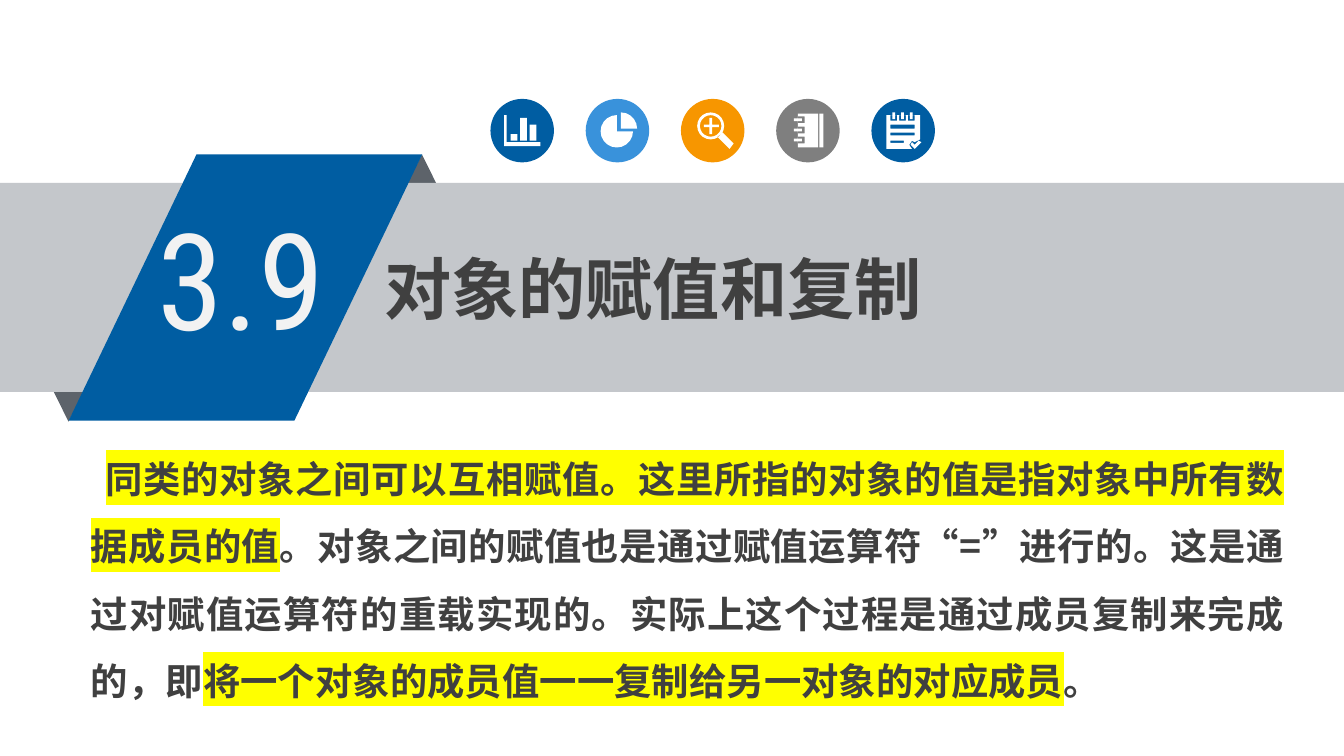
from math import cos, radians, sin

from lxml import etree
from pptx import Presentation
from pptx.dml.color import RGBColor as RGB
from pptx.enum.shapes import MSO_SHAPE as Kind
from pptx.enum.text import MSO_AUTO_SIZE as Fit, PP_ALIGN as Align
from pptx.oxml.ns import qn
from pptx.util import Cm, Pt

BLUE = RGB(0x00, 0x5D, 0xA2)
SKY = RGB(0x39, 0x92, 0xDB)
ORANGE = RGB(0xF7, 0x96, 0x00)
GRAY = RGB(0x7F, 0x7F, 0x7F)
FOLD = RGB(0x5D, 0x63, 0x6A)
BAND = RGB(0xC4, 0xC7, 0xCB)
INK = RGB(0x40, 0x40, 0x40)
PALE = RGB(0xF2, 0xF2, 0xF2)
WHITE = RGB(0xFF, 0xFF, 0xFF)
YELLOW = RGB(0xFF, 0xFF, 0x00)

DISC = 1.2  # icon diameter in cm
STEP = 1.8  # distance from icon to icon in cm
GRID = 47   # glyph units across one icon


def arc(x, y, r, start, end):
    """Points on a circle, clockwise, angles in degrees."""
    turns = [radians(t) for t in range(start, end + 1, 18)]
    return [(x + r * cos(t), y + r * sin(t)) for t in turns]


def box(x, y, w, h):
    return [(x, y), (x + w, y), (x + w, y + h), (x, y + h)]


def bars():
    axes = [(10, 12), (12, 12), (12, 32), (37, 32), (37, 35), (10, 35)]
    return [axes, box(15, 26, 5, 5), box(22, 14, 5, 17), box(29, 19, 5, 12)]


def pie():
    return [[(26, 22)] + arc(26, 22, 12, 270, 360),
            [(23, 24)] + arc(23, 24, 12, 0, 270)]


def lens():
    grip = [(27, 28), (31, 25), (39, 33), (36, 37)]
    return [arc(22, 20, 10, 0, 342), arc(22, 20, 8, 0, 342), grip,
            box(17, 19, 11, 2), box(21, 14, 2, 5), box(21, 21, 2, 5)]


def book():
    parts = [box(16, 11, 15, 25), box(32, 11, 3, 25)]
    for y in (13, 20.5, 28):
        parts += [box(16, y, 5, 5), box(13, y + 1.5, 6, 2)]
    return parts


def notes():
    page = [(11, 12), (36, 12), (36, 30), (32, 32), (30, 31), (28, 34),
            (30, 37), (11, 37)]
    tick = [(29, 34), (30, 32), (32, 34), (35, 31), (37, 32), (32, 37)]
    parts = [page, tick, box(14, 19, 18, 3), box(14, 25, 18, 2),
             box(14, 31, 10, 1.5)]
    for x in (14, 20.5, 27):
        parts += [box(x, 12, 5, 4), box(x + 1.5, 10, 2, 5)]
    return parts


class Deck:
    sans = "Noto Sans CJK SC"
    slim = "Roboto Condensed"

    def __init__(self):
        self.prs = Presentation()
        self.prs.slide_width, self.prs.slide_height = Cm(25.4), Cm(14.29)
        self.slide = self.prs.slides.add_slide(self.prs.slide_layouts[6])

    def paint(self, shape, fill):
        shape.shadow.inherit = False
        shape.fill.solid()
        shape.fill.fore_color.rgb = fill
        shape.line.fill.background()
        return shape

    def shape(self, kind, x, y, w, h, fill):
        return self.paint(self.slide.shapes.add_shape(
            kind, Cm(x), Cm(y), Cm(w), Cm(h)), fill)

    def glyph(self, x, y, parts):
        """Draw outlines as one white form; overlaps become holes."""
        unit = DISC / GRID
        pen = None
        for part in parts:
            dots = [(Cm(x + a * unit), Cm(y + b * unit)) for a, b in part]
            if pen is None:
                pen = self.slide.shapes.build_freeform(*dots[0])
            else:
                pen.move_to(*dots[0])
            pen.add_line_segments(dots[1:], close=True)
        self.paint(pen.convert_to_shape(), WHITE)

    def icon(self, x, y, fill, parts):
        self.shape(Kind.OVAL, x, y, DISC, DISC, fill)
        self.glyph(x, y, parts)

    def run(self, para, text, size, font, color, bold=False, mark=None):
        run = para.add_run()
        run.text = text
        face = run.font
        face.size, face.bold, face.name = Pt(size), bold, font
        face.color.rgb = color
        latin = run._r.rPr.find(qn("a:latin"))
        if mark is not None:
            tint = etree.Element(qn("a:highlight"))
            etree.SubElement(tint, qn("a:srgbClr"), val=str(mark))
            latin.addprevious(tint)
        latin.addnext(etree.Element(qn("a:ea"), typeface=font))

    def text(self, x, y, w, h, runs, pad=0.25, align=Align.LEFT,
             lines=None, before=None, left=0, first=0, **style):
        """Add a one-paragraph box; runs are (text, highlight) pairs."""
        area = self.slide.shapes.add_textbox(Cm(x), Cm(y), Cm(w), Cm(h))
        frame = area.text_frame
        frame.word_wrap, frame.auto_size = True, Fit.SHAPE_TO_FIT_TEXT
        frame.margin_left = frame.margin_right = Cm(pad)
        frame.margin_top = frame.margin_bottom = Cm(pad / 2)
        para = frame.paragraphs[0]
        para.alignment = align
        if lines:
            para.line_spacing = lines
        if before:
            para.space_before = Pt(before)
        if left:
            props = para._p.get_or_add_pPr()
            props.set("marL", str(Cm(left)))
            props.set("indent", str(Cm(first)))
        for words, mark in runs:
            self.run(para, words, mark=mark, **style)


def main():
    deck = Deck()
    deck.shape(Kind.ISOSCELES_TRIANGLE, 6.83, 2.92, 2.29, 2.31, FOLD)
    tail = deck.shape(Kind.ISOSCELES_TRIANGLE, 0.15, 5.66, 2.29, 2.31, FOLD)
    tail.rotation = 180
    deck.shape(Kind.RECTANGLE, 0, 3.46, 25.4, 3.95, BAND)
    flag = deck.shape(Kind.PARALLELOGRAM, 1.3, 2.92, 6.68, 5.03, BLUE)
    flag.adjustments[0] = 0.48

    deck.text(2.79, 3.61, 3.68, 3.28, [("3.9", None)], pad=0.18,
              size=72, font=deck.slim, color=PALE)
    deck.text(7.06, 4.57, 18.29, 1.73, [("对象的赋值和复制", None)], pad=0.2,
              size=36, font=deck.sans, color=INK, bold=True)

    icons = [(BLUE, bars), (SKY, pie), (ORANGE, lens), (GRAY, book),
             (BLUE, notes)]
    for i, (fill, draw) in enumerate(icons):
        deck.icon(9.27 + i * STEP, 1.87, fill, draw())

    body = [
        ("同类的对象之间可以互相赋值。这里所指的对象的值是指对象中所有数据成员的值",
         YELLOW),
        ("。对象之间的赋值也是通过赋值运算符“=”进行的。这是通过对赋值运算符的重载"
         "实现的。实际上这个过程是通过成员复制来完成的，即", None),
        ("将一个对象的成员值一一复制给另一对象的对应成员", YELLOW),
        ("。", None),
    ]
    deck.text(0.71, 8.08, 23.8, 5.38, body, align=Align.JUSTIFY, lines=1.5,
              before=4, left=0.76, first=0.28, size=20, font=deck.sans,
              color=INK, bold=True)
    deck.prs.save("out.pptx")


if __name__ == "__main__":
    main()
